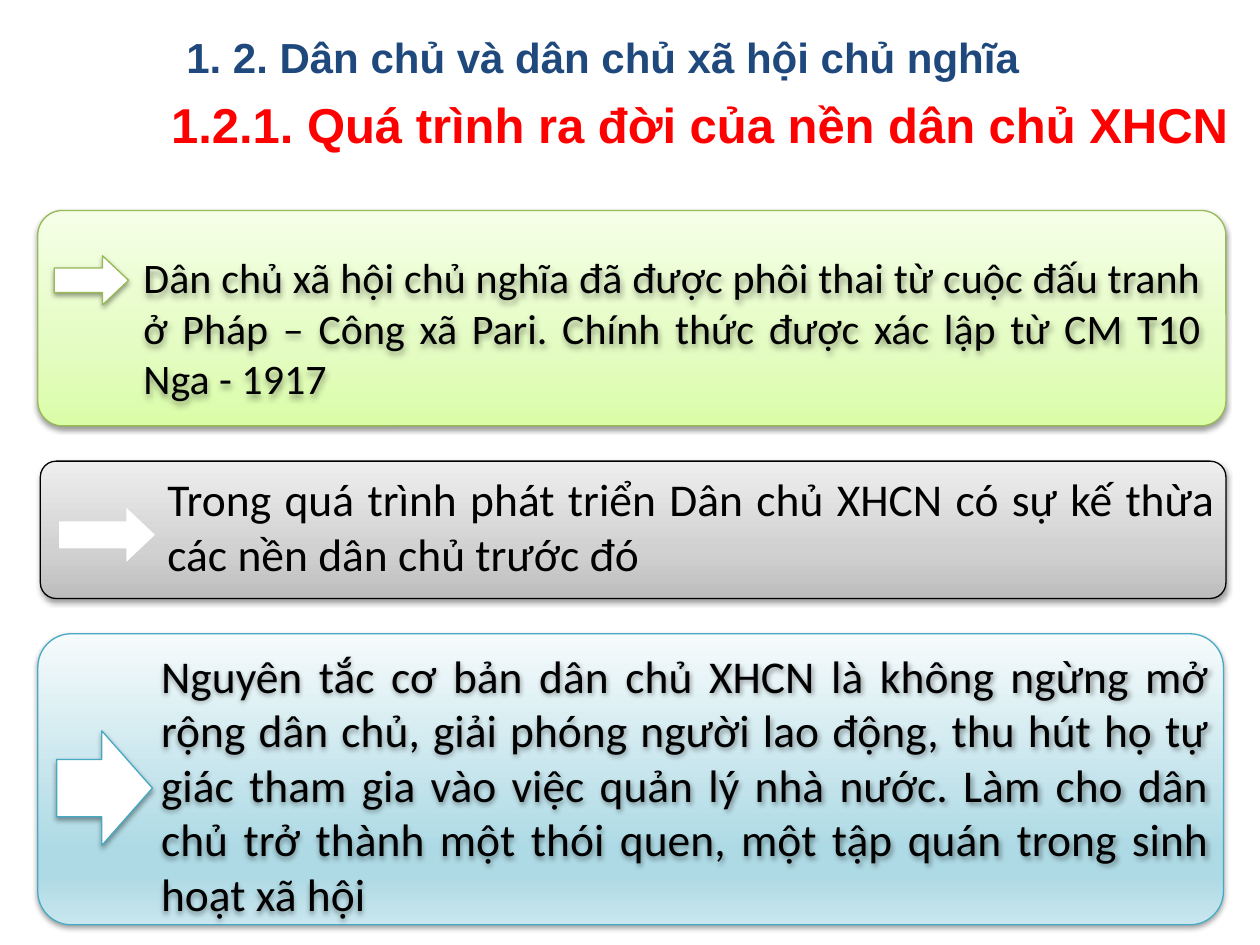
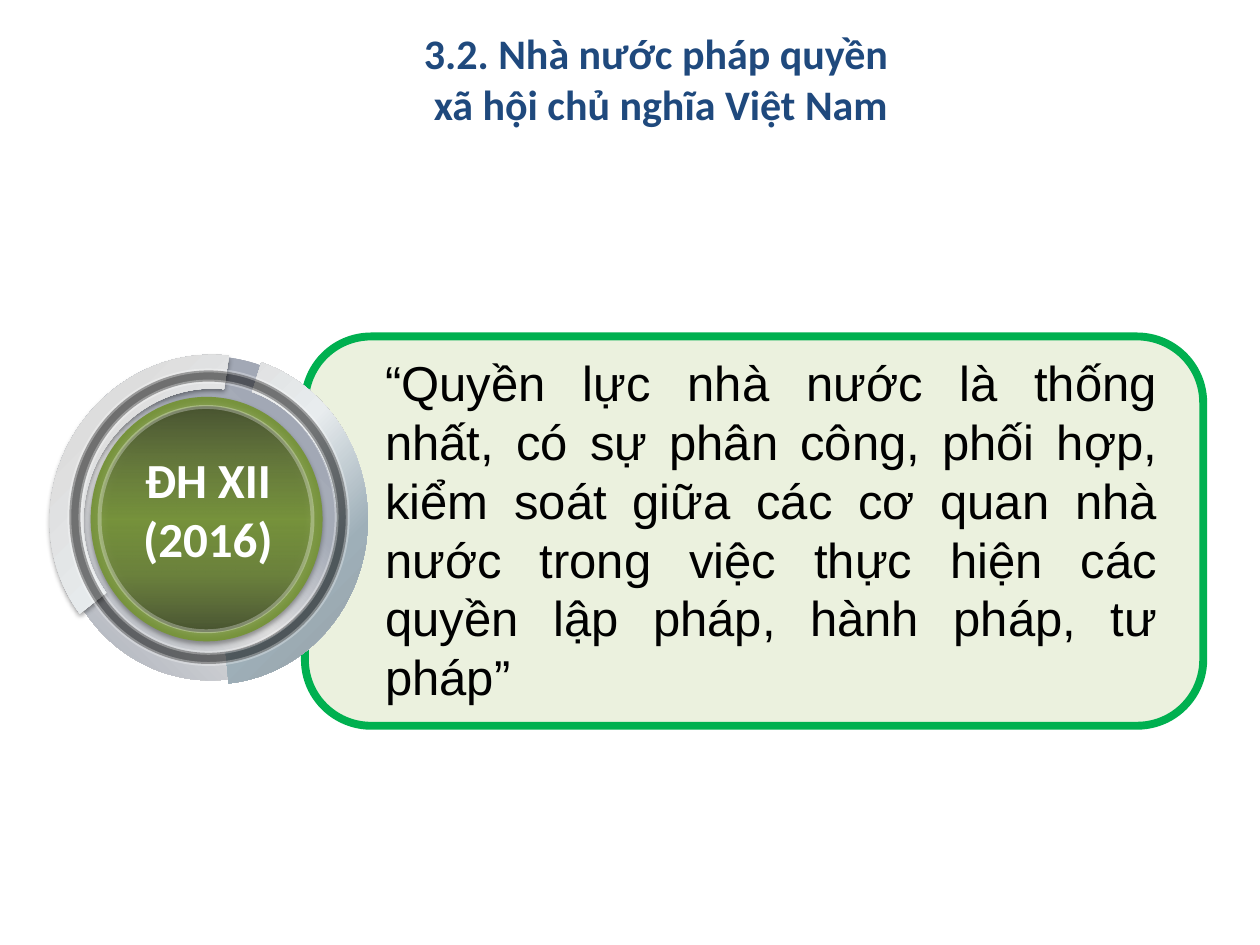
from lxml import etree
from pptx import Presentation
from pptx.dml.color import RGBColor
from pptx.enum.shapes import MSO_SHAPE as Kind
from pptx.enum.text import PP_ALIGN as Align
from pptx.oxml.ns import qn
from pptx.util import Inches, Pt

NAVY = RGBColor(0x1F, 0x49, 0x7D)
RED = RGBColor(0xFF, 0x00, 0x00)
BLACK = RGBColor(0x00, 0x00, 0x00)
WHITE = RGBColor(0xFF, 0xFF, 0xFF)
LIME = RGBColor(0x98, 0xB9, 0x55)
TEAL = RGBColor(0x46, 0xAA, 0xC5)
GREEN = RGBColor(0x00, 0xB0, 0x50)
CREAM = RGBColor(0xEB, 0xF1, 0xDE)
OLIVE = RGBColor(0x77, 0x93, 0x3C)


def stops(*pairs):
    return [(pos, RGBColor.from_string(code), 100) for pos, code in pairs]


LIMES = stops((0, "DAFDA7"), (35, "E4FCC2"), (100, "F5FFE7"))
GREYS = stops((0, "BDBDBD"), (35, "D1D1D1"), (100, "EEEEEE"))
BLUES = stops((0, "F6FBFC"), (74, "AEDAE5"), (83, "AEDAE5"), (100, "C9E6EE"))
STEEL = stops((0, "9DA3B1"), (35, "A5ABB7"), (58, "DDDDDD"), (100, "A5ABB7"))
CHROME = stops((0, "959FA5"), (25, "9EAFB8"), (50, "E8ECEE"),
               (75, "DDDDDD"), (100, "9DA3B1"))
GLOSS = [(pos, BLACK, alpha) for pos, alpha in
         ((0, 50), (25, 23), (50, 0), (75, 16), (100, 50))]

SOFT = (BLACK, 38, 3.1, 1.6, 90)
DEEP = (BLACK, 35, 3.1, 1.8, 90)
GLOW = (WHITE, 40, 5, 0, 0)


def node(parent, tag, **attrs):
    return etree.SubElement(parent, qn("a:" + tag),
                            {key: str(val) for key, val in attrs.items()})


def tint(parent, color, alpha):
    node(node(parent, "srgbClr", val=color), "alpha", val=alpha * 1000)


def fade(color, alpha):
    for item in color.iter(qn("a:srgbClr")):
        node(item, "alpha", val=alpha * 1000)


def blend(shape, marks, angle):
    shape.fill.background()
    props = shape._element.spPr
    grad = etree.Element(qn("a:gradFill"), rotWithShape="1")
    row = node(grad, "gsLst")
    for pos, color, alpha in marks:
        tint(node(row, "gs", pos=pos * 1000), color, alpha)
    if angle is None:
        ring = node(grad, "path", path="circle")
        node(ring, "fillToRect", l=100000, t=100000)
    else:
        node(grad, "lin", ang=angle * 60000, scaled=0)
    props.replace(props.find(qn("a:noFill")), grad)


def shade(shape, shadow):
    shape.shadow.inherit = False
    if shadow:
        color, alpha, blur, dist, angle = shadow
        effect = shape._element.spPr.find(qn("a:effectLst"))
        drop = node(effect, "outerShdw", blurRad=Pt(blur), dist=Pt(dist),
                    dir=angle * 60000, rotWithShape=0)
        tint(drop, color, alpha)


def draw(slide, kind, box, fill, angle=None, alpha=100, line=None, width=0.75,
         clear=100, shadow=None, adj=(), turn=0):
    shape = slide.shapes.add_shape(kind, *map(Inches, box))
    for idx, val in enumerate(adj):
        shape.adjustments[idx] = val
    shape.rotation = turn
    if isinstance(fill, list):
        blend(shape, fill, angle)
    else:
        shape.fill.solid()
        shape.fill.fore_color.rgb = fill
        if alpha < 100:
            fade(shape._element.spPr.find(qn("a:solidFill")), alpha)
    if line is None:
        shape.line.fill.background()
    else:
        shape.line.color.rgb = line
        shape.line.width = Pt(width)
        if clear < 100:
            fade(shape._element.spPr.find(qn("a:ln")), clear)
    shade(shape, shadow)


def write(slide, text, box, size=24, font="Calibri", color=BLACK, bold=False,
          align=Align.JUSTIFY, indent=0, lead=None, shadow=None):
    label = slide.shapes.add_textbox(*map(Inches, box))
    if shadow:
        shade(label, shadow)
    frame = label.text_frame
    frame.word_wrap = True
    for idx, part in enumerate(text.split("\n")):
        para = frame.add_paragraph() if idx else frame.paragraphs[0]
        para.alignment = align
        if indent:
            para._p.get_or_add_pPr().set("indent", str(Inches(indent)))
        if lead:
            para.line_spacing = Pt(lead)
        run = para.add_run()
        run.text = part
        run.font.size = Pt(size)
        run.font.name = font
        run.font.bold = bold
        run.font.color.rgb = color


def title(slide, text, box, font):
    write(slide, text, box, font=font, color=NAVY, bold=True, align=Align.CENTER)


def inset(box, part):
    return (box[0] + part[0], box[1] + part[1], *part[2:])


def panel(slide, box, text, body, arrow, fill, angle, line, edge=None,
          size=26, cast=None):
    draw(slide, Kind.ROUNDED_RECTANGLE, box, fill, angle=angle, line=line,
         shadow=SOFT, adj=[0.115])
    write(slide, text, inset(box, body), size=size, shadow=cast)
    draw(slide, Kind.RIGHT_ARROW, inset(box, arrow), WHITE, line=edge,
         shadow=cast, adj=[0.5, 0.528])


def badge(slide, box, text):
    def part(kind, place, fill, **style):
        draw(slide, kind, inset(box, place), fill, **style)

    part(Kind.OVAL, (0.1, 0, 2.44, 2.57), STEEL, angle=135)
    part(Kind.BLOCK_ARC, (0, 0.03, 2.56, 2.44), CHROME, shadow=SOFT,
         adj=[120.71, 202.87, 0.11], turn=300.4)
    part(Kind.BLOCK_ARC, (0.03, 0.06, 2.62, 2.46), CHROME,
         adj=[10.31, 104.69, 0.1], turn=270)
    rim = dict(line=WHITE, width=2.25, clear=30)
    part(Kind.DONUT, (0.2, 0.11, 2.21, 2.33), BLACK, alpha=50, adj=[0.04], **rim)
    part(Kind.OVAL, (0.37, 0.32, 1.84, 1.94), OLIVE, shadow=DEEP)
    part(Kind.OVAL, (0.44, 0.4, 1.69, 1.78), GLOSS, angle=90, shadow=GLOW, **rim)
    write(slide, text, inset(box, (0.38, 0.69, 1.84, 1.04)), size=28,
          color=WHITE, bold=True, align=Align.CENTER)


def quote(slide, box, text):
    draw(slide, Kind.ROUNDED_RECTANGLE, box, CREAM, line=GREEN, width=4.5,
         adj=[0.17])
    write(slide, text, inset(box, (0.54, 0.08, 6.32, 2.93)), size=28, font="Arial")


def origins(slide):
    title(slide, "1. 2. Dân chủ và dân chủ xã hội chủ nghĩa",
          (1.26, 0.2, 7.05, 0.5), "Arial")
    write(slide, "1.2.1. Quá trình ra đời của nền dân chủ XHCN",
          (0.76, 0.85, 9.43, 0.42), size=28, font="Arial", color=RED,
          bold=True, indent=0.5, lead=23)
    panel(slide, (0.3, 1.67, 9.43, 1.71),
          "Dân chủ xã hội chủ nghĩa đã được phôi thai từ cuộc đấu tranh ở Pháp "
          "– Công xã Pari. Chính thức được xác lập từ CM T10 Nga - 1917",
          (0.74, 0.28, 8.59, 1.31), (0.13, 0.36, 0.59, 0.39),
          LIMES, 270, LIME, edge=LIME, size=24, cast=SOFT)
    panel(slide, (0.32, 3.66, 9.41, 1.09),
          "Trong quá trình phát triển Dân chủ XHCN có sự kế thừa các nền dân "
          "chủ trước đó",
          (0.91, 0.03, 8.52, 0.98), (0.15, 0.37, 0.76, 0.43),
          GREYS, 270, BLACK)
    panel(slide, (0.3, 5.03, 9.41, 2.31),
          "Nguyên tắc cơ bản dân chủ XHCN là không ngừng mở rộng dân chủ, giải "
          "phóng người lao động, thu hút họ tự giác tham gia vào việc quản lý "
          "nhà nước. Làm cho dân chủ trở thành một thói quen, một tập quán "
          "trong sinh hoạt xã hội",
          (0.88, 0.06, 8.52, 2.29), (0.15, 0.77, 0.76, 0.91),
          BLUES, 90, TEAL, edge=TEAL, cast=SOFT)


def state(slide):
    title(slide, "3.2. Nhà nước pháp quyền \nxã hội chủ nghĩa Việt Nam",
          (2.33, 0.17, 5.83, 0.91), "Calibri")
    quote(slide, (2.42, 2.67, 7.13, 3.09),
          "“Quyền lực nhà nước là thống nhất, có sự phân công, phối hợp, kiểm "
          "soát giữa các cơ quan nhà nước trong việc thực hiện các quyền lập "
          "pháp, hành pháp, tư pháp”")
    badge(slide, (0.35, 2.83, 2.65, 2.57), "ĐH XII\n(2016)")


def main():
    deck = Presentation()
    deck.slide_width, deck.slide_height = Inches(10), Inches(7.5)
    for build in (origins, state):
        build(deck.slides.add_slide(deck.slide_layouts[6]))
    deck.save("out.pptx")


if __name__ == "__main__":
    main()
